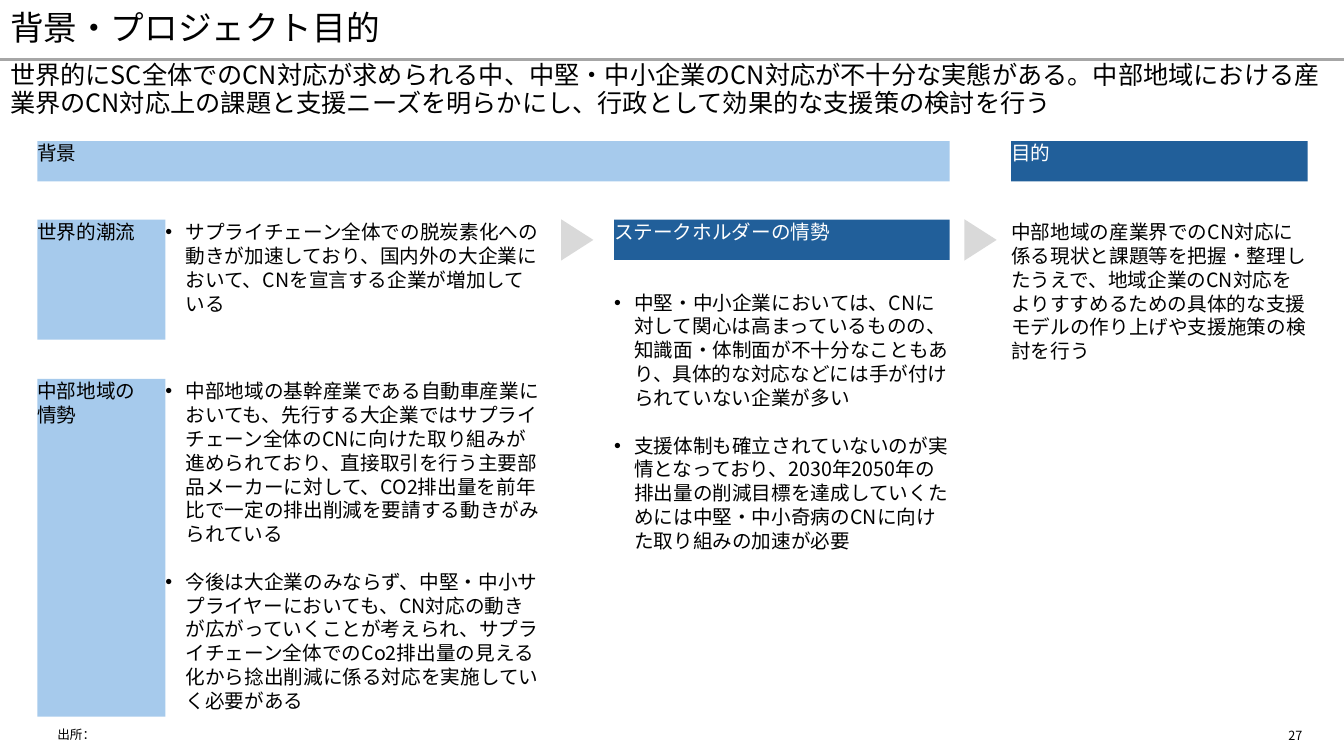
"""Build the slide on the background and purpose of the project."""
from dataclasses import dataclass

from lxml.etree import SubElement as Sub
from pptx import Presentation
from pptx.dml.color import RGBColor as Color
from pptx.enum.shapes import MSO_CONNECTOR as Wire, MSO_SHAPE as Form
from pptx.enum.text import MSO_ANCHOR as Anchor, MSO_AUTO_SIZE as Fit, PP_ALIGN as Align
from pptx.oxml.ns import qn
from pptx.util import Inches, Pt


@dataclass(frozen=True)
class Theme:
    font: str = "Noto Sans CJK JP"
    black: str = "000000"
    white: str = "FFFFFF"
    light: str = "A6CAEC"
    dark: str = "215F9A"
    pale: str = "D9D9D9"
    rule: str = "A6A6A6"
    title: int = 24
    lead: int = 18
    text: int = 14
    note: int = 9
    pitch: int = 17
    indent: float = 0.2


@dataclass(frozen=True)
class Area:
    left: float
    top: float
    width: float
    height: float

    def span(self) -> tuple:
        return tuple(Inches(v) for v in (self.left, self.top, self.width, self.height))


@dataclass(frozen=True)
class Label:
    area: Area
    lines: tuple
    fill: str
    color: str


@dataclass(frozen=True)
class Block:
    area: Area
    lines: tuple
    bullet: bool = True


THEME = Theme()
WIDE, BAND = 13.33, 0.59
LEFT, MID, RIGHT = 0.37, 6.09, 10.03
HEAD, ROW, NEXT = 1.4, 2.18, 3.76
SIDE, BAR = 1.27, 0.4
LIST = LEFT + SIDE

LABELS = (
    Label(Area(LEFT, HEAD, 9.05, BAR), ("背景",), THEME.light, THEME.black),
    Label(Area(LEFT, ROW, SIDE, 1.19), ("世界的潮流",), THEME.light, THEME.black),
    Label(Area(LEFT, NEXT, SIDE, 3.35), ("中部地域の", "情勢"), THEME.light, THEME.black),
    Label(Area(MID, ROW, 3.33, BAR), ("ステークホルダーの情勢",), THEME.dark, THEME.white),
    Label(Area(RIGHT, HEAD, 2.94, BAR), ("目的",), THEME.dark, THEME.white),
)
BLOCKS = (
    Block(Area(LIST, ROW, 3.71, 0.94), (
        "サプライチェーン全体での脱炭素化への動きが加速しており、国内外の大企業において、CNを宣言する企業が増加している",
    )),
    Block(Area(LIST, NEXT, 3.71, 3.34), (
        "中部地域の基幹産業である自動車産業においても、先行する大企業ではサプライチェーン全体のCNに向けた取り組みが進められており、直接取引を行う主要部品メーカーに対して、CO2排出量を前年比で一定の排出削減を要請する動きがみられている",
        "今後は大企業のみならず、中堅・中小サプライヤーにおいても、CN対応の動きが広がっていくことが考えられ、サプライチェーン全体でのCo2排出量の見える化から捻出削減に係る対応を実施していく必要がある",
    )),
    Block(Area(MID, 2.88, 3.33, 2.59), (
        "中堅・中小企業においては、CNに対して関心は高まっているものの、知識面・体制面が不十分なこともあり、具体的な対応などには手が付けられていない企業が多い",
        "支援体制も確立されていないのが実情となっており、2030年2050年の排出量の削減目標を達成していくためには中堅・中小奇病のCNに向けた取り組みの加速が必要",
    )),
    Block(Area(RIGHT, ROW, 2.94, 1.41), (
        "中部地域の産業界でのCN対応に係る現状と課題等を把握・整理したうえで、地域企業のCN対応をよりすすめるための具体的な支援モデルの作り上げや支援施策の検討を行う",
    ), False),
)
LEAD = "世界的にSC全体でのCN対応が求められる中、中堅・中小企業のCN対応が不十分な実態がある。中部地域における産業界のCN対応上の課題と支援ニーズを明らかにし、行政として効果的な支援策の検討を行う"
NOTES = (
    (Area(0.47, 7.17, 11.02, 0.24), "出所：", Anchor.MIDDLE),
    (Area(12.68, 7.17, BAND, 0.24), "27", Anchor.TOP),
)
ARROWS = tuple(Area(x, 2.22, 0.41, 0.32) for x in (5.52, 9.52))


def write(shape, lines: tuple, size: int, color: str = THEME.black, pitch=None,
          bullet: bool = False, anchor=Anchor.TOP, inset=None) -> None:
    """Fill the text frame of a shape with styled paragraphs."""
    frame = shape.text_frame
    frame.word_wrap = True
    frame.auto_size = Fit.NONE
    frame.vertical_anchor = anchor
    if inset is not None:
        frame.margin_left = frame.margin_right = Inches(inset)
        frame.margin_top = frame.margin_bottom = Inches(inset)
    frame.text = "\n".join(lines)
    for rank, para in enumerate(frame.paragraphs):
        props = para._p.get_or_add_pPr()
        step = Inches(THEME.indent) if bullet else 0
        props.set("marL", str(step))
        props.set("indent", str(-step))
        if bullet:
            Sub(props, qn("a:buFont"), typeface="Arial")
            Sub(props, qn("a:buChar"), char="•")
        else:
            Sub(props, qn("a:buNone"))
        para.alignment = Align.LEFT
        para.space_before = Pt(THEME.pitch if bullet and rank else 0)
        if pitch is not None:
            para.line_spacing = pitch
        para.font.name = THEME.font
        para.font.size = Pt(size)
        para.font.color.rgb = Color.from_string(color)
        Sub(props.find(qn("a:defRPr")), qn("a:ea"), typeface=THEME.font)


def place(shape, area: Area) -> None:
    """Move a placeholder to an area."""
    shape.left, shape.top, shape.width, shape.height = area.span()


def shade(slide, form, area: Area, fill: str):
    """Add a plain filled shape."""
    shape = slide.shapes.add_shape(form, *area.span())
    shape.shadow.inherit = False
    shape.fill.solid()
    shape.fill.fore_color.rgb = Color.from_string(fill)
    shape.line.fill.background()
    return shape


def rule(slide) -> None:
    """Draw the line under the title."""
    line = slide.shapes.add_connector(Wire.STRAIGHT, 0, Inches(BAND), Inches(WIDE), Inches(BAND))
    line.line.color.rgb = Color.from_string(THEME.rule)
    line.line.width = Pt(2.25)
    Sub(line._element.spPr, qn("a:effectLst"))


def main() -> None:
    """Build and save the slide."""
    deck = Presentation()
    deck.slide_width, deck.slide_height = Inches(WIDE), Inches(7.5)
    slide = deck.slides.add_slide(deck.slide_layouts[1])
    title, lead = slide.placeholders
    place(title, Area(0, 0, WIDE, BAND))
    write(title, ("背景・プロジェクト目的",), THEME.title, pitch=0.9, anchor=Anchor.MIDDLE)
    place(lead, Area(0, BAND, WIDE, BAND))
    write(lead, (LEAD,), THEME.lead, pitch=Pt(20), anchor=Anchor.MIDDLE)
    rule(slide)
    for area, text, anchor in NOTES:
        write(slide.shapes.add_textbox(*area.span()), (text,), THEME.note, anchor=anchor)
    for label in LABELS:
        shape = shade(slide, Form.RECTANGLE, label.area, label.fill)
        write(shape, label.lines, THEME.text, label.color, Pt(THEME.pitch), inset=0)
    for block in BLOCKS:
        shape = slide.shapes.add_textbox(*block.area.span())
        write(shape, block.lines, THEME.text, pitch=Pt(THEME.pitch), bullet=block.bullet, inset=0)
    for area in ARROWS:
        shade(slide, Form.ISOSCELES_TRIANGLE, area, THEME.pale).rotation = 90
    deck.save("out.pptx")


if __name__ == "__main__":
    main()
